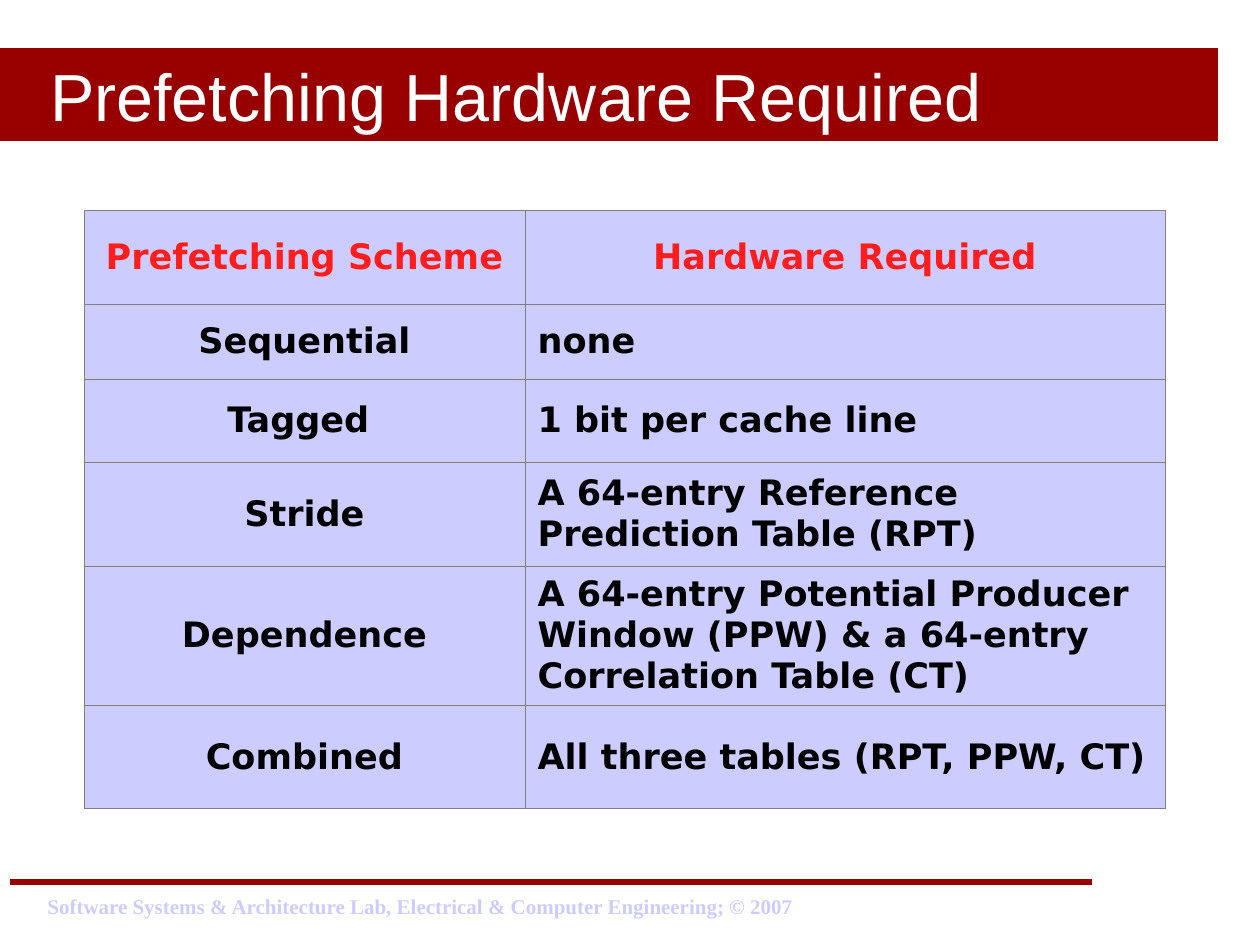
"""Build the slide that lists the hardware each prefetching scheme requires."""
from dataclasses import dataclass
from typing import Any

from lxml import etree
from pptx import Presentation
from pptx import util as u
from pptx.dml.color import RGBColor
from pptx.enum import shapes, text
from pptx.oxml.ns import qn

EMU_PER_PX = 914400 / 126


@dataclass(frozen=True)
class Theme:
    red: str = "980000"
    lavender: str = "CCCCFF"
    header: str = "FE1E1E"
    body: str = "000000"
    white: str = "FFFFFF"
    border: str = "808080"
    title_size: int = 38
    table_size: int = 20
    footer_size: int = 12
    table_space: int = 5
    rule_width: float = 3
    border_width: float = 0.45
    title_font: str = "Arial"
    table_font: str = "DejaVu Sans"
    footer_font: str = "Times New Roman"


@dataclass(frozen=True)
class Box:
    left: int
    top: int
    width: int
    height: int

    def emu(self) -> tuple[u.Emu, ...]:
        return tuple(px(side) for side in (self.left, self.top, self.width, self.height))


@dataclass(frozen=True)
class SchemeRow:
    scheme: str
    hardware: str
    height: int


THEME = Theme()
TITLE = Box(0, 48, 1218, 93)
TABLE = Box(84, 210, 1081, 599)
FOOTER = Box(35, 887, 774, 38)
COLUMN_WIDTHS = (441, 640)
ROWS = (
    SchemeRow("Prefetching Scheme", "Hardware Required", 94),
    SchemeRow("Sequential", "none", 75),
    SchemeRow("Tagged ", "1 bit per cache line", 83),
    SchemeRow("Stride", "A 64-entry Reference Prediction Table (RPT)", 104),
    SchemeRow("Dependence", "A 64-entry Potential Producer Window (PPW) & a 64-entry Correlation Table (CT)", 139),
    SchemeRow("Combined", "All three tables (RPT, PPW, CT)", 104),
)


def px(length: int) -> u.Emu:
    return u.Emu(round(length * EMU_PER_PX))


def color(value: str) -> RGBColor:
    return RGBColor.from_string(value)


def write(frame: Any, words: str, font: str, size: int, ink: str, bold: bool = False) -> Any:
    paragraph = frame.paragraphs[0]
    paragraph.text = words
    paragraph.font.name = font
    paragraph.font.size = u.Pt(size)
    paragraph.font.bold = bold
    paragraph.font.color.rgb = color(ink)
    return paragraph


def add_rule(slide: Any, left: int, right: int, top: int) -> None:
    rule = slide.shapes.add_connector(
        shapes.MSO_CONNECTOR.STRAIGHT, px(left), px(top), px(right), px(top)
    )
    rule.line.color.rgb = color(THEME.red)
    rule.line.width = u.Pt(THEME.rule_width)
    etree.SubElement(rule._element.spPr, qn("a:effectLst"))


def add_footer(slide: Any, words: str) -> None:
    frame = slide.shapes.add_textbox(*FOOTER.emu()).text_frame
    frame.word_wrap = False
    write(frame, words, THEME.footer_font, THEME.footer_size, THEME.lavender, bold=True)


def add_title(slide: Any, words: str) -> None:
    shape = slide.shapes.add_shape(shapes.MSO_SHAPE.RECTANGLE, *TITLE.emu())
    shape.shadow.inherit = False
    shape.fill.solid()
    shape.fill.fore_color.rgb = color(THEME.red)
    shape.line.fill.background()
    frame = shape.text_frame
    frame.word_wrap = True
    frame.margin_left = px(50)
    frame.vertical_anchor = text.MSO_ANCHOR.MIDDLE
    paragraph = write(frame, words, THEME.title_font, THEME.title_size, THEME.white)
    paragraph.alignment = text.PP_ALIGN.LEFT


def add_borders(cell: Any) -> None:
    properties = cell._tc.get_or_add_tcPr()
    for index, side in enumerate(("lnL", "lnR", "lnT", "lnB")):
        line = etree.Element(qn(f"a:{side}"), w=str(u.Pt(THEME.border_width)))
        fill = etree.SubElement(line, qn("a:solidFill"))
        etree.SubElement(fill, qn("a:srgbClr"), val=THEME.border)
        properties.insert(index, line)


def fill_cell(cell: Any, words: str, ink: str, centered: bool) -> None:
    cell.fill.solid()
    cell.fill.fore_color.rgb = color(THEME.lavender)
    cell.vertical_anchor = text.MSO_ANCHOR.MIDDLE
    add_borders(cell)
    paragraph = write(cell.text_frame, words, THEME.table_font, THEME.table_size, ink, bold=True)
    paragraph.space_before = u.Pt(THEME.table_space)
    paragraph.alignment = text.PP_ALIGN.CENTER if centered else text.PP_ALIGN.LEFT


def add_scheme_table(slide: Any) -> None:
    table = slide.shapes.add_table(len(ROWS), len(COLUMN_WIDTHS), *TABLE.emu()).table
    table.horz_banding = False
    for column, width in zip(table.columns, COLUMN_WIDTHS):
        column.width = px(width)
    for index, row in enumerate(ROWS):
        table.rows[index].height = px(row.height)
        is_header = index == 0
        ink = THEME.header if is_header else THEME.body
        fill_cell(table.cell(index, 0), row.scheme, ink, centered=True)
        fill_cell(table.cell(index, 1), row.hardware, ink, centered=is_header)


def main() -> None:
    presentation = Presentation()
    presentation.slide_width, presentation.slide_height = px(1260), px(945)
    slide = presentation.slides.add_slide(presentation.slide_layouts[6])
    add_rule(slide, 10, 1092, 882)
    add_footer(slide, "Software Systems & Architecture Lab, Electrical & Computer Engineering; © 2007")
    add_title(slide, "Prefetching Hardware Required")
    add_scheme_table(slide)
    presentation.save("out.pptx")


if __name__ == "__main__":
    main()
